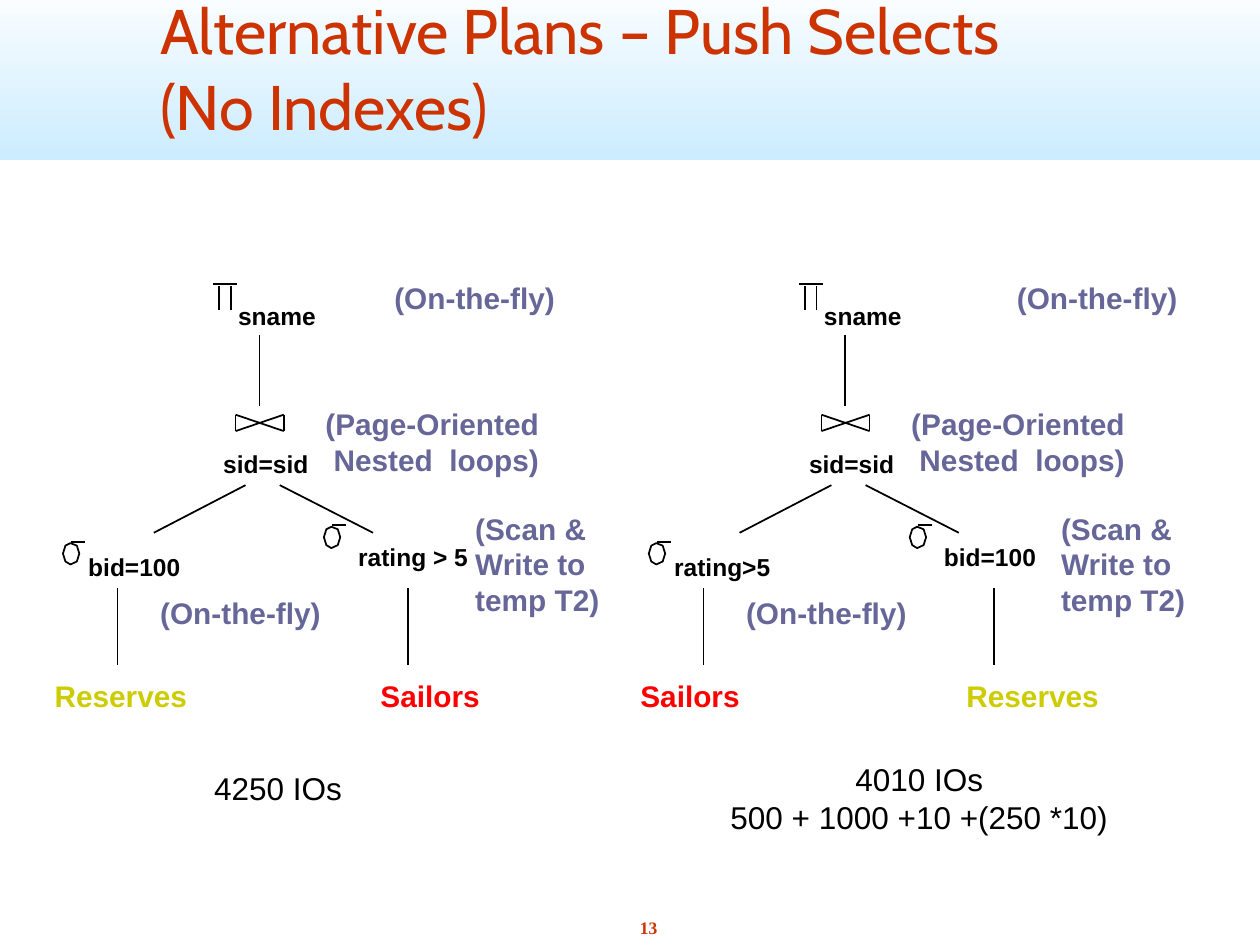
from dataclasses import dataclass

from lxml.etree import SubElement as Sub
from pptx import Presentation
from pptx.dml.color import RGBColor as Rgb
from pptx.enum.shapes import MSO_CONNECTOR as Conn, MSO_SHAPE as Kind
from pptx.enum.text import MSO_ANCHOR as Anchor, MSO_AUTO_SIZE as Auto, PP_ALIGN as Align
from pptx.oxml.ns import qn
from pptx.util import Cm, Pt

COLORS = {
    "ink": "000000",
    "note": "666699",
    "title": "CC3300",
    "sky": "CCECFF",
    "white": "FFFFFF",
    "Reserves": "CCCC00",
    "Sailors": "FF0000",
}
INSET = Cm(0.13)
SHIFT = 11.81


@dataclass
class Label:
    text: str
    x: float
    y: float
    w: float
    h: float = 0.94
    size: int = 17
    color: str = "note"
    bold: bool = True
    font: str = "Arial"
    align: Align = Align.LEFT
    anchor: Anchor = Anchor.TOP
    before: int = 0


@dataclass
class Stroke:
    x1: float
    y1: float
    x2: float
    y2: float


@dataclass
class Plan:
    x: float
    left: Label
    right: Label
    tables: tuple[str, str]
    fly: float


STROKES = [
    Stroke(4.42, 5.77, 4.42, 6.25),
    Stroke(4.65, 5.77, 4.65, 6.25),
    Stroke(4.29, 5.72, 4.78, 5.72),
    Stroke(4.75, 8.36, 4.75, 8.69),
    Stroke(5.72, 8.36, 5.72, 8.69),
    Stroke(4.75, 8.36, 5.72, 8.69),
    Stroke(4.75, 8.69, 5.72, 8.36),
    Stroke(5.23, 6.76, 5.23, 8.18),
    Stroke(3.1, 10.74, 4.95, 9.78),
    Stroke(5.64, 9.78, 7.52, 10.74),
    Stroke(2.37, 11.86, 2.37, 13.41),
    Stroke(8.23, 11.86, 8.23, 13.41),
]
SIGMAS = [(1.27, 10.95), (6.53, 10.62)]
RING = [(0.33, 0.21), (0.28, 0.05), (0.15, 0), (0.05, 0.05),
        (0, 0.21), (0.05, 0.37), (0.15, 0.43), (0.28, 0.37)]
LABELS = [
    Label("sname", 4.67, 5.94, 1.85, 0.79, 14, "ink"),
    Label("sid=sid", 4.37, 8.92, 2.01, 0.79, 14, "ink"),
    Label("(Page-Oriented\n Nested  loops)", 6.43, 8.05, 4.57, 1.65),
    Label("(Scan &\nWrite to\ntemp T2)", 9.45, 10.16, 2.77, 2.34),
    Label("(On-the-fly)", 3.1, 11.86, 3.51),
]
WIDTHS = {"Reserves": 2.95, "Sailors": 2.29}
PLANS = [
    Plan(0, Label("bid=100", 1.65, 11, 2.26, 0.79, 14, "ink"),
         Label("rating > 5", 7.09, 10.8, 2.49, 0.79, 14, "ink"),
         ("Reserves", "Sailors"), 7.82),
    Plan(SHIFT, Label("rating>5", 1.65, 11, 2.36, 0.79, 14, "ink"),
         Label("bid=100", 7.09, 10.8, 2.13, 0.79, 14, "ink"),
         ("Sailors", "Reserves"), 8.56),
]
COSTS = [
    Label("4250 IOs", 4.17, 15.37, 2.87, 1.04, 18, "ink", False,
          align=Align.CENTER, anchor=Anchor.MIDDLE),
    Label("4010 IOs\n500 + 1000 +10 +(250 *10)", 14.58, 15.19, 7.9, 1.8, 18, "ink", False,
          align=Align.CENTER, anchor=Anchor.MIDDLE),
]
NUMBER = Label("13", 12.73, 18.36, 0.69, 0.69, 10, "title", True,
               "Times New Roman", Align.CENTER, before=6)
TITLE = Label("Alternative Plans – Push Selects \v(No Indexes)", 3.1, -0.28, 21.34, 3.28,
              36, "title", False, "Cabin", anchor=Anchor.MIDDLE)


def tint(name: str) -> Rgb:
    return Rgb.from_string(COLORS[name])


def write(box, label: Label, wrap: bool, auto: Auto) -> None:
    frame = box.text_frame
    frame.text = label.text
    frame.word_wrap = wrap
    frame.auto_size = auto
    frame.vertical_anchor = label.anchor
    frame.margin_left = frame.margin_right = INSET
    frame.margin_top = frame.margin_bottom = INSET
    for para in frame.paragraphs:
        para.alignment = label.align
        para.space_before = Pt(label.before)
        font = para.font
        font.name, font.size, font.bold = label.font, Pt(label.size), label.bold
        font.color.rgb = tint(label.color)


def draw_label(shapes, label: Label, dx: float = 0) -> None:
    box = shapes.add_textbox(Cm(label.x + dx), Cm(label.y), Cm(label.w), Cm(label.h))
    write(box, label, False, Auto.SHAPE_TO_FIT_TEXT)


def ink(shape) -> None:
    shape.line.color.rgb = tint("ink")
    shape.line.width = Pt(1)


def draw_stroke(shapes, mark: Stroke, dx: float = 0) -> None:
    line = shapes.add_connector(Conn.STRAIGHT, Cm(mark.x1 + dx), Cm(mark.y1),
                                Cm(mark.x2 + dx), Cm(mark.y2))
    ink(line)
    Sub(line.element.spPr, qn("a:effectLst"))


def draw_sigma(shapes, x: float, y: float) -> None:
    first, *rest = [(Cm(x + px), Cm(y + py)) for px, py in RING]
    pen = shapes.build_freeform(*first)
    pen.add_line_segments(rest, close=True)
    ring = pen.convert_to_shape()
    ring.shadow.inherit = False
    ring.fill.background()
    ink(ring)
    draw_stroke(shapes, Stroke(x + 0.16, y - 0.03, x + 0.45, y - 0.03))


def draw_plan(shapes, plan: Plan) -> None:
    for mark in STROKES:
        draw_stroke(shapes, mark, plan.x)
    for x, y in SIGMAS:
        draw_sigma(shapes, x + plan.x, y)
    fly = Label("(On-the-fly)", plan.fly, 5.51, 3.51)
    leaves = [Label(name, x, 13.54, WIDTHS[name], color=name)
              for name, x in zip(plan.tables, (0.97, 7.54))]
    for label in [*LABELS, plan.left, plan.right, fly, *leaves]:
        draw_label(shapes, label, plan.x)


def draw_head(shapes, width: int) -> None:
    title = shapes.title
    title.left, title.top = Cm(TITLE.x), Cm(TITLE.y)
    title.width, title.height = Cm(TITLE.w), Cm(TITLE.h)
    write(title, TITLE, True, Auto.NONE)
    band = shapes.add_shape(Kind.RECTANGLE, 0, Cm(-0.43), width, Cm(3.66))
    band.shadow.inherit = False
    band.line.fill.background()
    band.fill.gradient()
    band.fill.gradient_angle = 90
    for stop, name in zip(band.fill.gradient_stops, ("sky", "white")):
        stop.color.rgb = tint(name)
    title.element.addprevious(band.element)


def main() -> None:
    deck = Presentation()
    deck.slide_width, deck.slide_height = Cm(25.4), Cm(19.05)
    shapes = deck.slides.add_slide(deck.slide_layouts[5]).shapes
    draw_head(shapes, deck.slide_width)
    for plan in PLANS:
        draw_plan(shapes, plan)
    for label in [*COSTS, NUMBER]:
        draw_label(shapes, label)
    deck.save("out.pptx")


if __name__ == "__main__":
    main()
